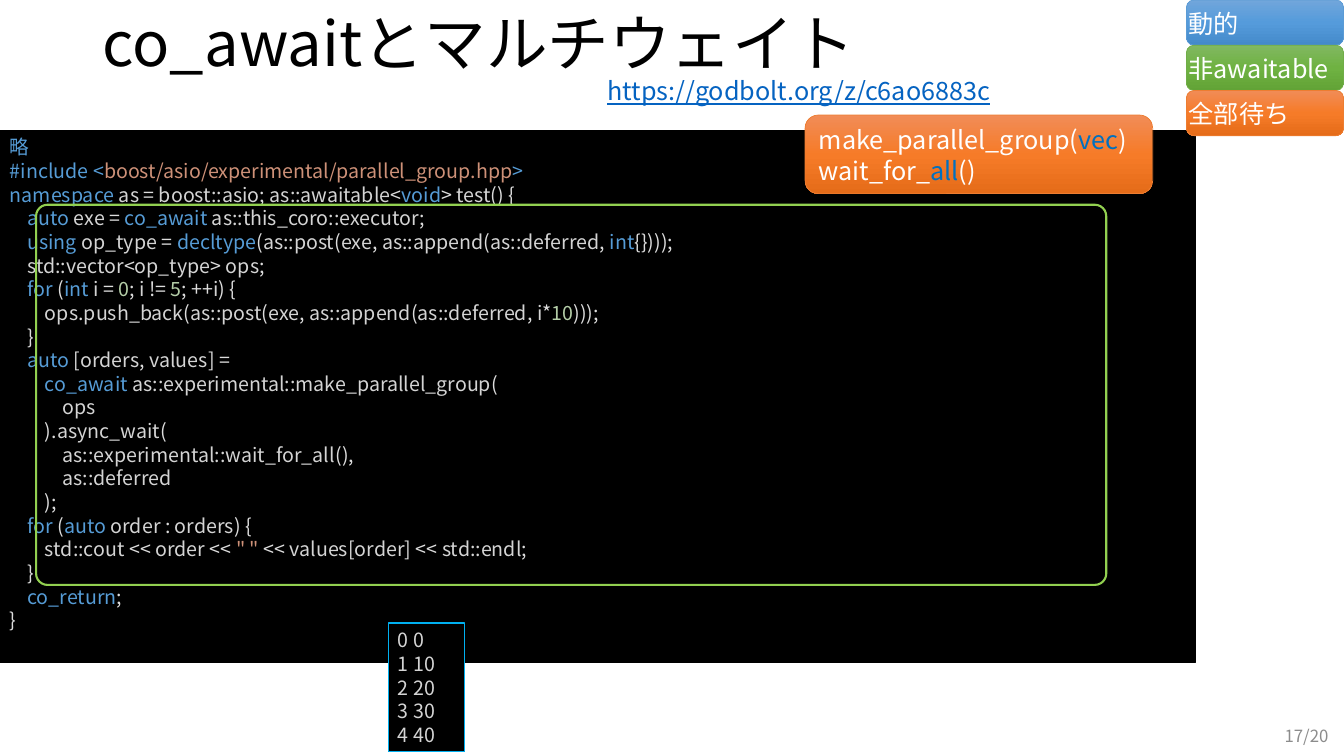
from copy import deepcopy

from pptx import Presentation
from pptx.dml.color import RGBColor
from pptx.enum.dml import MSO_FILL
from pptx.enum.shapes import MSO_SHAPE
from pptx.enum.text import MSO_ANCHOR, PP_ALIGN
from pptx.oxml.ns import qn
from pptx.util import Cm, Pt

FONT = "Noto Sans CJK JP"
BLACK = RGBColor(0x00, 0x00, 0x00)
WHITE = RGBColor(0xFF, 0xFF, 0xFF)
GREY = RGBColor(0x8C, 0x8C, 0x8C)
LINK = RGBColor(0x05, 0x63, 0xC1)
ACCENT = RGBColor(0x00, 0x70, 0xC0)
LIME = RGBColor(0x92, 0xD0, 0x50)
SKY = RGBColor(0x00, 0xB0, 0xF0)
# Code colours: keyword, name, sign, string, number
KEY = RGBColor(0x56, 0x9C, 0xD6)
NAME = RGBColor(0xD4, 0xD4, 0xD4)
SIGN = RGBColor(0xDC, 0xDC, 0xDC)
STR = RGBColor(0xCE, 0x91, 0x78)
NUM = RGBColor(0xB5, 0xCE, 0xA8)
# Each theme: line colour, then gradient colours from top to bottom
ORANGE = [RGBColor.from_string(c) for c in ("ED7D31", "F18C57", "F67B28", "E56C19")]
BLUE = [RGBColor.from_string(c) for c in ("5B9BD5", "71A6DB", "559BDB", "448ACA")]
GREEN = [RGBColor.from_string(c) for c in ("70AD47", "81B861", "6FB242", "62A336")]

TITLE = "co_awaitとマルチウェイト"
URL = "https://godbolt.org/z/c6ao6883c"
PAGE = "17/20"
TAGS = [("動的", BLUE), ("非awaitable", GREEN), ("全部待ち", ORANGE)]
GROUP_CALL = [
    [("make_parallel_group(", WHITE), ("vec", ACCENT), (")", WHITE)],
    [("wait_for_", WHITE), ("all", ACCENT), ("()", WHITE)],
]
OUTPUT = ["0 0", "1 10", "2 20", "3 30", "4 40"]
CODE = [
    [("略", KEY)],
    [("#include <", KEY), ("boost/asio/experimental/parallel_group.hpp", STR), (">", KEY)],
    [("namespace", KEY), (" as ", NAME), ("=", SIGN), (" boost::asio", NAME), (";", SIGN),
     (" as::awaitable", NAME), ("<", SIGN), ("void", KEY), (">", SIGN), (" test", NAME),
     ("() {", SIGN)],
    [("    auto", KEY), (" exe ", NAME), ("= ", SIGN), ("co_await", KEY),
     (" as::this_coro::executor", NAME), (";", SIGN)],
    [("    using ", KEY), ("op_type ", NAME), ("= ", SIGN), ("decltype", KEY), ("(", SIGN),
     ("as::post", NAME), ("(", SIGN), ("exe", NAME), (",", SIGN), (" as::append", NAME),
     ("(", SIGN), ("as::deferred", NAME), (", ", SIGN), ("int", KEY), ("{})));", SIGN)],
    [("    std::vector", NAME), ("<", SIGN), ("op_type", NAME), (">", SIGN), (" ops", NAME),
     (";", SIGN)],
    [("    for ", KEY), ("(", SIGN), ("int ", KEY), ("i ", NAME), ("= ", SIGN), ("0", NUM),
     ("; ", SIGN), ("i ", NAME), ("!= ", SIGN), ("5", NUM), ("; ++", SIGN), ("i", NAME),
     (") {", SIGN)],
    [("        ops", NAME), (".", SIGN), ("push_back", NAME), ("(", SIGN), ("as::post", NAME),
     ("(", SIGN), ("exe", NAME), (",", SIGN), (" as::append", NAME), ("(", SIGN),
     ("as::deferred", NAME), (", ", SIGN), ("i", NAME), ("*", SIGN), ("10", NUM),
     (")));", SIGN)],
    [("    }", SIGN)],
    [("    auto ", KEY), ("[", SIGN), ("orders", NAME), (",", SIGN), (" values", NAME),
     ("] =", SIGN)],
    [("        co_await", KEY), (" as::experimental::make_parallel_group", NAME), ("(", SIGN)],
    [("            ops", NAME)],
    [("        ).", SIGN), ("async_wait", NAME), ("(", SIGN)],
    [("            as::experimental::wait_for_all", NAME), ("(),", SIGN)],
    [("            as::deferred", NAME)],
    [("        );", SIGN)],
    [("    for ", KEY), ("(", SIGN), ("auto", KEY), (" order ", NAME), (":", SIGN),
     (" orders", NAME), (") {", SIGN)],
    [("        std::cout ", NAME), ("<<", SIGN), (" order ", NAME), ("<< ", SIGN),
     ('" " ', STR), ("<<", SIGN), (" values", NAME), ("[", SIGN), ("order", NAME),
     ("] <<", SIGN), (" std::endl", NAME), (";", SIGN)],
    [("    }", SIGN)],
    [("    co_return", KEY), (";", SIGN)],
    [("}", SIGN)],
]

CODE_SPACING = Pt(16.9)
LABEL_SPACING = Pt(22.1)
TAG_LEFT, TAG_WIDTH, TAG_HEIGHT = 29.9, 3.96, 1.14

deck = Presentation()
deck.slide_width, deck.slide_height = Cm(33.87), Cm(19.05)
slide = deck.slides.add_slide(deck.slide_layouts[6])


def write(holder, lines, size, spacing=None, anchor=MSO_ANCHOR.TOP, align=PP_ALIGN.LEFT):
    """Fill a shape with lines, each a list of (text, colour) runs."""
    frame = holder.text_frame
    frame.word_wrap = True
    frame.vertical_anchor = anchor
    for number, line in enumerate(lines):
        paragraph = frame.add_paragraph() if number else frame.paragraphs[0]
        paragraph.alignment = align
        paragraph.line_spacing = spacing
        for text, colour in line:
            run = paragraph.add_run()
            run.text = text
            run.font.size = Pt(size)
            run.font.name = FONT
            run.font.color.rgb = colour
            properties = run.font._element
            east_asian = properties.makeelement(qn("a:ea"), {"typeface": FONT})
            properties.find(qn("a:latin")).addnext(east_asian)
    return frame


def add_label(left, top, width, height):
    return slide.shapes.add_textbox(Cm(left), Cm(top), Cm(width), Cm(height))


def add_box(preset, left, top, width, height, line, line_width, fill=None):
    box = slide.shapes.add_shape(preset, Cm(left), Cm(top), Cm(width), Cm(height))
    box.shadow.inherit = False
    box.line.color.rgb = line
    box.line.width = Pt(line_width)
    if fill is None:
        box.fill.background()
    else:
        box.fill.solid()
        box.fill.fore_color.rgb = fill
    return box


def add_glossy_box(left, top, width, height, theme):
    """Rounded box with a three-stop gradient running downwards."""
    line, *shades = theme
    box = add_box(MSO_SHAPE.ROUNDED_RECTANGLE, left, top, width, height, line, 0.5)
    box.fill.gradient()
    box.fill.gradient_angle = 270
    stop_list = box._element.spPr.find(qn("a:gradFill")).find(qn("a:gsLst"))
    stop_list.append(deepcopy(stop_list[-1]))
    for number, (stop, shade) in enumerate(zip(box.fill.gradient_stops, shades)):
        stop.position = number / 2
        stop.color.rgb = shade
    return box


write(add_label(26.11, 18.03, 7.62, 1.02), [[(PAGE, GREY)]], 12,
      anchor=MSO_ANCHOR.MIDDLE, align=PP_ALIGN.RIGHT)

code_panel = add_box(MSO_SHAPE.RECTANGLE, 0, 3.28, 30.12, 13.41, BLACK, 0.75, BLACK)
write(code_panel, CODE, 14, CODE_SPACING)

url_frame = write(add_label(15.06, 1.75, 13.18, 1.02), [[(URL, LINK)]], 18, LABEL_SPACING)
url_frame.paragraphs[0].runs[0].font.underline = True

highlight = add_box(MSO_SHAPE.ROUNDED_RECTANGLE, 0.91, 5.16, 26.97, 9.58, LIME, 1.5)
highlight.adjustments[0] = 0.03

output_panel = add_box(MSO_SHAPE.RECTANGLE, 9.78, 15.7, 1.93, 3.25, SKY, 0.75, BLACK)
write(output_panel, [[(row, NAME)] for row in OUTPUT], 14, CODE_SPACING)

write(add_label(2.34, 0, 31.39, 2.34), [[(TITLE, BLACK)]], 44, 0.9, MSO_ANCHOR.MIDDLE)

write(add_glossy_box(20.29, 2.9, 8.76, 1.98, ORANGE), GROUP_CALL, 18, LABEL_SPACING)

for row, (tag, theme) in enumerate(TAGS):
    tag_box = add_glossy_box(TAG_LEFT, row * TAG_HEIGHT, TAG_WIDTH, TAG_HEIGHT, theme)
    tag_frame = write(tag_box, [[(tag, WHITE)]], 18, LABEL_SPACING, MSO_ANCHOR.MIDDLE)
    tag_frame.margin_left = tag_frame.margin_right = 0

deck.save("out.pptx")
